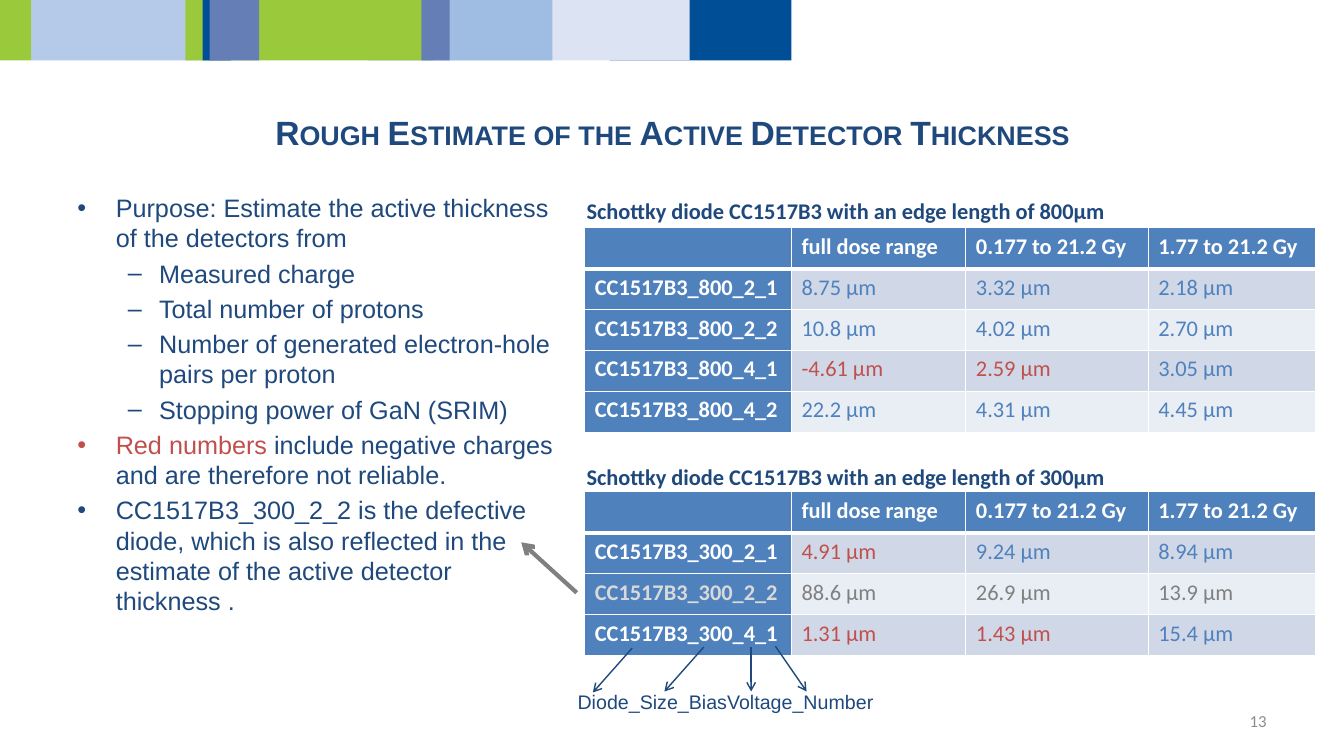
from lxml.etree import SubElement
from pptx import Presentation
from pptx.dml.color import RGBColor
from pptx.enum.shapes import MSO_CONNECTOR, MSO_SHAPE
from pptx.enum.text import MSO_ANCHOR, PP_ALIGN
from pptx.oxml.ns import qn
from pptx.util import Inches, Pt

# Content
NAVY, BLUE, RED, GRAY, WHITE = "1F497D", "4F81BD", "C0504D", "808080", "FFFFFF"
STRIPES = [  # left, right, colour, from back to front
    (6.05, 7.85, "004E96"), (4.42, 6.84, "DCE4F4"), (0.31, 2.14, "B5CAE9"),
    (0, 0.31, "9ACA3C"), (3.65, 5.48, "9FBCE2"), (1.84, 4.3, "9ACA3C"),
    (2.01, 2.29, "004E96"), (4.18, 4.46, "657EB6"), (2.08, 2.57, "657EB6"),
]
TITLE = "Rough Estimate of the Active Detector Thickness"
BULLETS = [  # level, runs of text and colour
    (0, [("Purpose: Estimate the active thickness of the detectors from", NAVY)]),
    (1, [("Measured charge", NAVY)]),
    (1, [("Total number of protons", NAVY)]),
    (1, [("Number of generated electron-hole pairs per proton", NAVY)]),
    (1, [("Stopping power of GaN (SRIM)", NAVY)]),
    (0, [("Red numbers ", RED),
         ("include negative charges and are therefore not reliable.", NAVY)]),
    (0, [("CC1517B3_300_2_2 is the defective diode, which is also reflected in "
          "the estimate of the active detector thickness .", NAVY)]),
]
LEVELS = [("•", 0.38, -0.38), ("–", 0.81, -0.31)]  # mark, left margin, indent
HEADER = ["", "full dose range", "0.177 to 21.2 Gy", "1.77 to 21.2 Gy"]
COLUMNS = [2.05, 1.73, 1.81, 1.66]
ROW_HEIGHT = 0.406
TABLES = [  # edge length, caption top, table top, rows
    (800, 1.91, 2.26, [
        ["CC1517B3_800_2_1", "8.75", "3.32", "2.18"],
        ["CC1517B3_800_2_2", "10.8", "4.02", "2.70"],
        ["CC1517B3_800_4_1", "-4.61", "2.59", "3.05"],
        ["CC1517B3_800_4_2", "22.2", "4.31", "4.45"]]),
    (300, 4.55, 4.88, [
        ["CC1517B3_300_2_1", "4.91", "9.24", "8.94"],
        ["CC1517B3_300_2_2", "88.6", "26.9", "13.9"],
        ["CC1517B3_300_4_1", "1.31", "1.43", "15.4"]]),
]
UNRELIABLE = {"-4.61", "2.59", "4.91", "1.31", "1.43"}
DEFECTIVE = "CC1517B3_300_2_2"
ARROWS = [  # start, end, colour, width
    ((5.72, 5.88), (5.17, 5.38), GRAY, 3),
    ((6.27, 6.43), (5.88, 6.87), NAVY, 1),
    ((6.98, 6.42), (6.59, 6.86), NAVY, 1),
    ((7.45, 6.42), (7.45, 6.86), NAVY, 1),
    ((7.69, 6.41), (8, 6.86), NAVY, 1),
]


def rgb(value):
    return RGBColor.from_string(value)


def add_span(para, text, size=18, color=NAVY, font="Arial", bold=False):
    span = para.add_run()
    span.text = text
    span.font.size, span.font.name, span.font.bold = Pt(size), font, bold
    span.font.color.rgb = rgb(color)
    return span


def add_box(page, left, top, width, height, anchor=MSO_ANCHOR.TOP):
    box = page.shapes.add_textbox(*map(Inches, (left, top, width, height)))
    box.text_frame.word_wrap = True
    box.text_frame.vertical_anchor = anchor
    return box.text_frame


def add_bullet(para, level, color):
    mark, margin, indent = LEVELS[level]
    properties = para._p.get_or_add_pPr()
    properties.set("marL", str(Inches(margin)))
    properties.set("indent", str(Inches(indent)))
    tint = SubElement(properties, qn("a:buClr"))
    SubElement(tint, qn("a:srgbClr"), val=color)
    SubElement(properties, qn("a:buFont"), typeface="Arial")
    SubElement(properties, qn("a:buChar"), char=mark)
    para.level = level


def add_borders(cell, top, bottom):
    properties = cell._tc.get_or_add_tcPr()
    for side, width in (("L", 1), ("R", 1), ("T", top), ("B", bottom)):
        line = SubElement(properties, qn(f"a:ln{side}"), w=str(Pt(width)))
        fill = SubElement(line, qn("a:solidFill"))
        SubElement(fill, qn("a:srgbClr"), val=WHITE)


def text_color(row, column, name, value):
    if row == 0 or column == 0:
        return "D9D9D9" if name == DEFECTIVE else WHITE
    if name == DEFECTIVE:
        return GRAY
    return RED if value in UNRELIABLE else BLUE


def add_results(page, top, rows):
    frame = page.shapes.add_table(
        len(rows) + 1, len(COLUMNS), Inches(5.8), Inches(top),
        Inches(sum(COLUMNS)), Inches(ROW_HEIGHT * (len(rows) + 1)))
    table = frame.table
    table.horz_banding = False
    for column, width in zip(table.columns, COLUMNS):
        column.width = Inches(width)
    for r, values in enumerate([HEADER] + rows):
        table.rows[r].height = Inches(ROW_HEIGHT)
        for c, value in enumerate(values):
            cell = table.cell(r, c)
            heading = r == 0 or c == 0
            add_borders(cell, 3 if r == 1 else 1, 3 if r == 0 else 1)
            cell.fill.solid()
            band = "D0D8E8" if r % 2 else "E9EDF4"
            cell.fill.fore_color.rgb = rgb(BLUE if heading else band)
            if value:
                add_span(cell.text_frame.paragraphs[0],
                         value if heading else f"{value} µm", size=16,
                         color=text_color(r, c, values[0], value),
                         font="Calibri", bold=heading)


def add_arrow(page, start, end, color, width):
    arrow = page.shapes.add_connector(
        MSO_CONNECTOR.STRAIGHT, *map(Inches, start + end))
    arrow.line.color.rgb = rgb(color)
    arrow.line.width = Pt(width)
    SubElement(arrow.line._get_or_add_ln(), qn("a:tailEnd"), type="arrow")
    SubElement(arrow._element.spPr, qn("a:effectLst"))


def main():
    deck = Presentation()
    deck.slide_width, deck.slide_height = Inches(13.33), Inches(7.5)
    page = deck.slides.add_slide(deck.slide_layouts[5])

    # Coloured band
    for left, right, color in STRIPES:
        stripe = page.shapes.add_shape(
            MSO_SHAPE.RECTANGLE, Inches(left), 0, Inches(right - left), Inches(0.6))
        stripe.shadow.inherit = False
        stripe.fill.solid()
        stripe.fill.fore_color.rgb = rgb(color)
        stripe.line.fill.background()

    # Title
    title = page.shapes.title
    title.left, title.top = Inches(0.67), Inches(1)
    title.width, title.height = Inches(12), Inches(0.62)
    title.text_frame.vertical_anchor = MSO_ANCHOR.MIDDLE
    para = title.text_frame.paragraphs[0]
    para.alignment = PP_ALIGN.CENTER
    span = add_span(para, TITLE, size=24, bold=True)
    span.font._element.set("cap", "small")

    # Bullets
    body = add_box(page, 0.67, 1.86, 4.98, 4.84)
    for index, (level, spans) in enumerate(BULLETS):
        para = body.add_paragraph() if index else body.paragraphs[0]
        add_bullet(para, level, spans[0][1])
        if index:
            para.space_before = Pt(3.6)
        for text, color in spans:
            add_span(para, text, color=color)

    # Captions and tables
    for edge, caption_top, table_top, rows in TABLES:
        caption = add_box(page, 5.72, caption_top, 5.37, 0.37)
        add_span(caption.paragraphs[0],
                 f"Schottky diode CC1517B3 with an edge length of {edge}µm",
                 size=16, font="Calibri", bold=True)
        add_results(page, table_top, rows)

    # Naming key and arrows
    key = add_box(page, 5.63, 6.8, 4.98, 0.34)
    add_span(key.paragraphs[0], "Diode_Size_BiasVoltage_Number", size=14)
    for arrow in ARROWS:
        add_arrow(page, *arrow)

    # Page number
    number = add_box(page, 9.55, 6.95, 3.11, 0.4, MSO_ANCHOR.MIDDLE)
    number.paragraphs[0].alignment = PP_ALIGN.RIGHT
    add_span(number.paragraphs[0], "13", size=12, color="8C8C8C", font="Calibri")

    deck.save("out.pptx")


if __name__ == "__main__":
    main()
